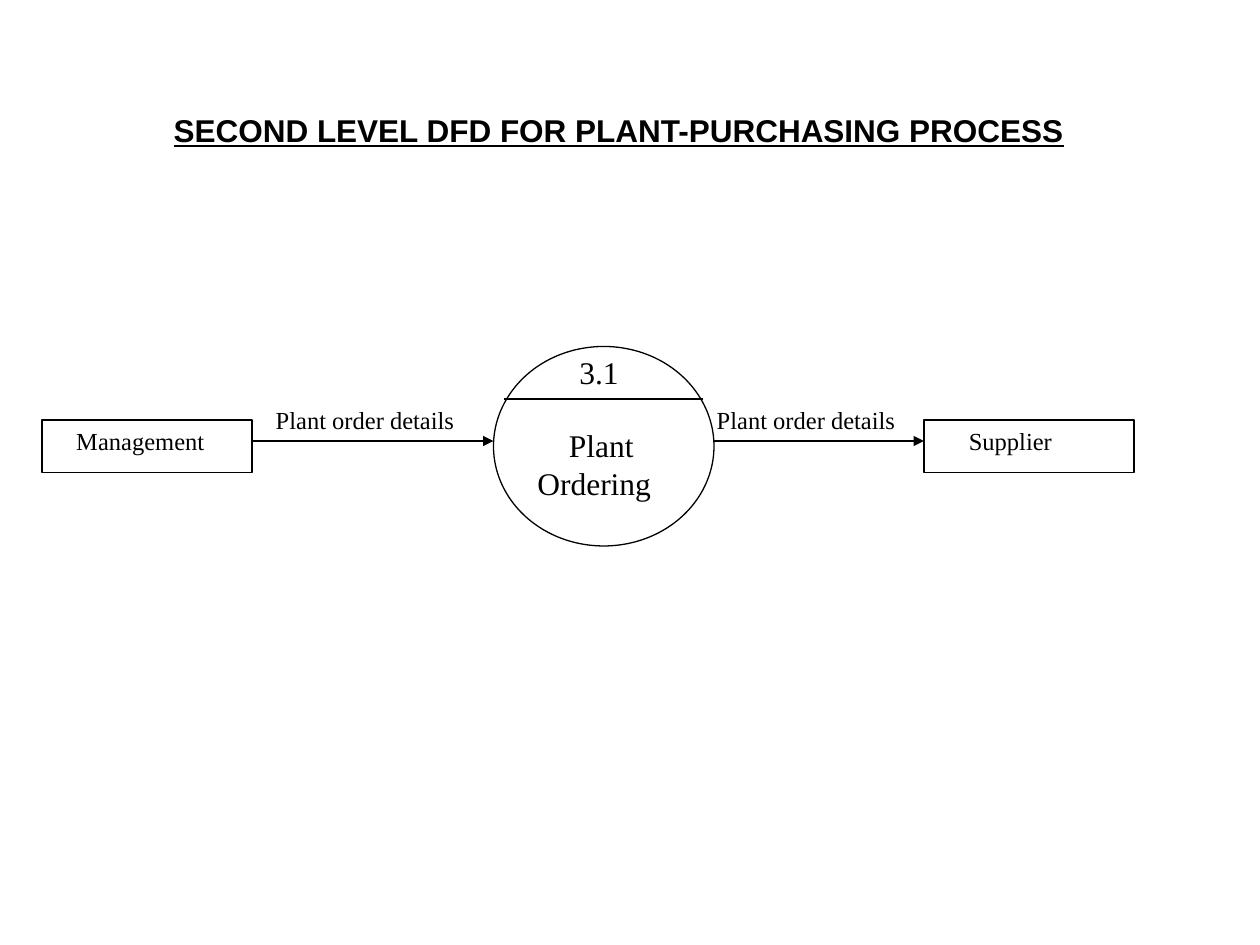
from dataclasses import dataclass

from lxml import etree
from pptx import Presentation
from pptx.dml.color import RGBColor
from pptx.enum import shapes as es, text as et
from pptx.oxml import ns
from pptx.util import Pt


@dataclass(frozen=True)
class Theme:
    ink: RGBColor = RGBColor(0, 0, 0)
    page: RGBColor = RGBColor(255, 255, 255)
    head: str = "Arial"
    body: str = "Times New Roman"
    large: int = 18
    small: int = 14
    line: float = 0.75


T = Theme()
FRAME = {
    "word_wrap": False,
    "auto_size": et.MSO_AUTO_SIZE.NONE,
    "vertical_anchor": et.MSO_ANCHOR.TOP,
    "margin_left": Pt(7.2), "margin_right": Pt(7.2),
    "margin_top": Pt(3.6), "margin_bottom": Pt(3.6),
}


def apply(item, vals):
    for key, val in vals.items():
        setattr(item, key, val)


def write(shape, lines, size, face=T.body, **extra):
    """Fill a shape with (text, indent) lines."""
    frame = shape.text_frame
    apply(frame, FRAME)
    for i, (words, indent) in enumerate(lines):
        para = frame.add_paragraph() if i else frame.paragraphs[0]
        apply(para, {"alignment": et.PP_ALIGN.LEFT, "line_spacing": 1.0,
                     "space_before": Pt(0)})
        if indent:
            para._p.get_or_add_pPr().set("marL", str(Pt(indent)))
        run = para.add_run()
        run.text = words
        apply(run.font, {"name": face, "size": Pt(size), **extra})
        run.font.color.rgb = T.ink


def label(slide, box, lines, size):
    write(slide.shapes.add_textbox(*map(Pt, box)), lines, size)


def outline(slide, kind, box):
    shape = slide.shapes.add_shape(kind, *map(Pt, box))
    shape.shadow.inherit = False
    shape.fill.background()
    shape.line.color.rgb = T.ink
    shape.line.width = Pt(T.line)


def rule(slide, left, right, y, arrow=False):
    line = slide.shapes.add_connector(
        es.MSO_CONNECTOR.STRAIGHT, *map(Pt, (left, y, right, y)))
    line.line.color.rgb = T.ink
    line.line.width = Pt(T.line)
    props = line._element.spPr
    if arrow:
        etree.SubElement(props.find(ns.qn("a:ln")), ns.qn("a:tailEnd"),
                         type="triangle")
    etree.SubElement(props, ns.qn("a:effectLst"))


# Heading
def title(slide, box, words):
    shape = slide.shapes.title
    apply(shape, dict(zip(("left", "top", "width", "height"), map(Pt, box))))
    write(shape, [(words, 0)], T.large, T.head, bold=True, underline=True)


# External party: a box with its name
def party(slide, box, name, inset, width):
    x, y, _, _ = box
    outline(slide, es.MSO_SHAPE.RECTANGLE, box)
    label(slide, (x + inset, y, width, 24.5), [(name, 0)], T.small)


# Process: a circle with its number above a divider
def process(slide, box, number, lines):
    x, y, w, _ = box
    outline(slide, es.MSO_SHAPE.OVAL, box)
    rule(slide, x + 6, x + w - 6, y + 30)
    label(slide, (x + 42, y, 36.7, 29), [(number, 0)], T.large)
    label(slide, (x + 18, y + 42, 79, 50.5), lines, T.large)


# Data flow: an arrow with its label above
def flow(slide, left, right, y, words, shift):
    rule(slide, left, right, y, arrow=True)
    label(slide, (left + shift, y - 24, 116.5, 24.5), [(words, 0)], T.small)


def main():
    deck = Presentation()
    deck.slide_width, deck.slide_height = Pt(720), Pt(540)
    slide = deck.slides.add_slide(deck.slide_layouts[5])
    slide.background.fill.solid()
    slide.background.fill.fore_color.rgb = T.page

    title(slide, (92, 60, 524, 29),
          "SECOND LEVEL DFD FOR PLANT-PURCHASING PROCESS")
    party(slide, (24, 240, 120, 30), "Management", 12.5, 91)
    party(slide, (528, 240, 120, 30), "Supplier", 18.5, 62)
    process(slide, (282, 198, 126, 114), "3.1",
            [("Plant", 18), ("Ordering", 0)])
    for left, right, shift in ((144, 282, 6.5), (408, 528, -5.5)):
        flow(slide, left, right, 252, "Plant order details", shift)
    deck.save("out.pptx")


if __name__ == "__main__":
    main()
